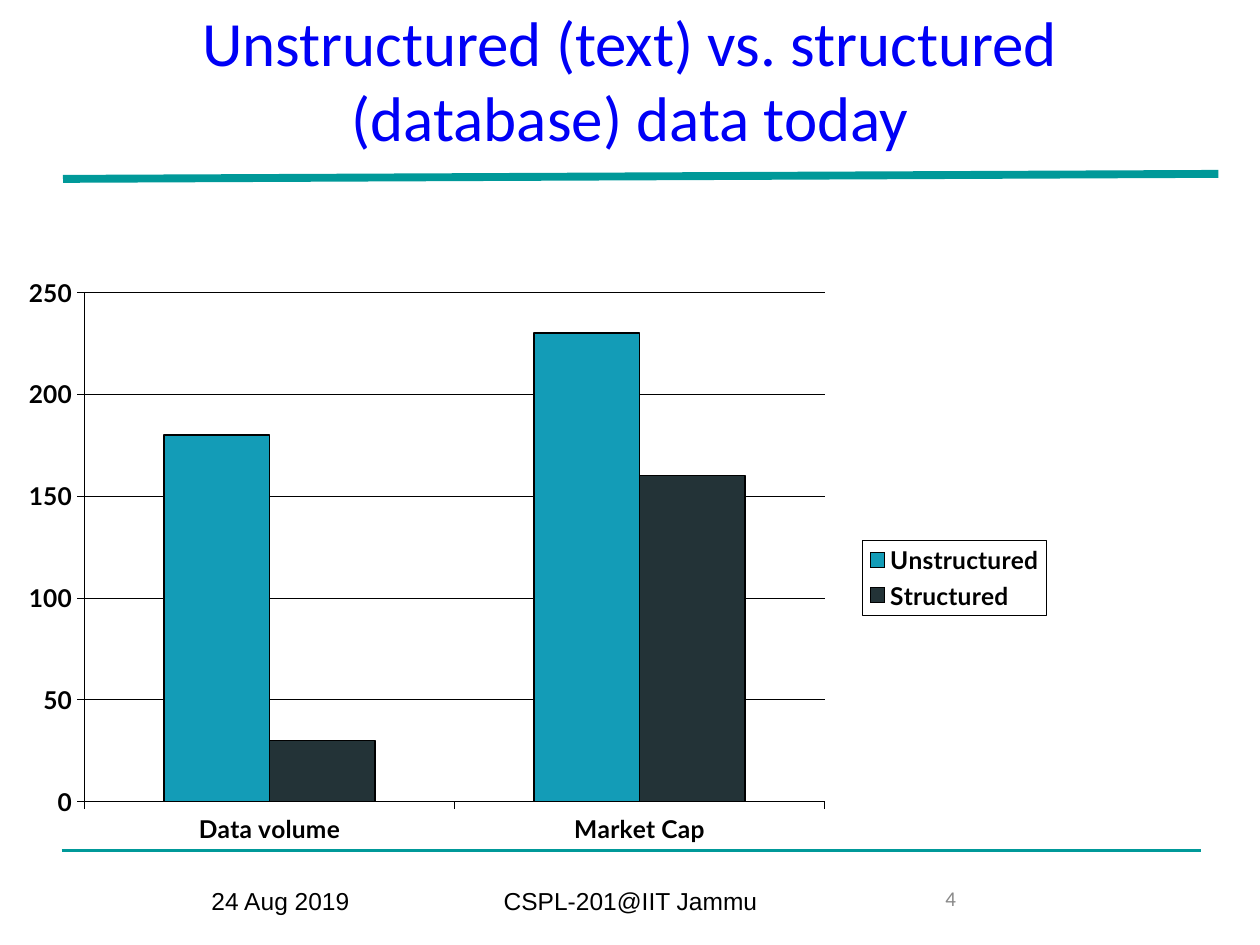
from pptx import Presentation
from pptx.chart.data import CategoryChartData
from pptx.dml.color import RGBColor
from pptx.enum.chart import XL_CHART_TYPE as ChartType, XL_LEGEND_POSITION as LegendPosition
from pptx.enum.chart import XL_TICK_LABEL_POSITION as LabelPosition, XL_TICK_MARK as TickMark
from pptx.enum.shapes import MSO_CONNECTOR as Connector
from pptx.enum.text import MSO_ANCHOR as Anchor, PP_ALIGN as Align
from pptx.oxml import parse_xml
from pptx.oxml.ns import nsdecls, qn
from pptx.util import Inches, Pt

BLACK, TEAL, BLUE, GRAY = "000000", "009999", "0000F6", "898989"


def color(value):
    return RGBColor.from_string(value)


def set_attributes(target, values):
    for name, value in values.items():
        setattr(target, name, value)


def set_font(font, name, size, fill, bold=False):
    set_attributes(font, {"name": name, "size": Pt(size), "bold": bold})
    font.color.rgb = color(fill)


def set_line(line, fill, width):
    line.color.rgb = color(fill)
    line.width = Pt(width)


def add_text(slide, text, box, font, align=Align.LEFT, anchor=Anchor.TOP):
    shape = slide.shapes.add_textbox(*map(Inches, box))
    frame = shape.text_frame
    set_attributes(frame, {"word_wrap": True, "vertical_anchor": anchor})
    paragraph = frame.paragraphs[0]
    paragraph.alignment = align
    run = paragraph.add_run()
    run.text = text
    set_font(run.font, *font)


def add_rule(slide, ends, width):
    connector = slide.shapes.add_connector(Connector.STRAIGHT, *map(Inches, ends))
    set_line(connector.line, TEAL, width)
    properties = connector._element.spPr
    properties.append(parse_xml(f"<a:effectLst {nsdecls('a')}/>"))


def place_plot(chart, **position):
    plot_area = chart.element.find(".//" + qn("c:plotArea"))
    for layout in plot_area.findall(qn("c:layout")):
        plot_area.remove(layout)
    modes = '<c:xMode val="edge"/><c:yMode val="edge"/>'
    values = "".join(f'<c:{name} val="{value}"/>' for name, value in position.items())
    plot_area.insert(0, parse_xml(
        f'<c:layout {nsdecls("c")}><c:manualLayout><c:layoutTarget val="inner"/>'
        f"{modes}{values}</c:manualLayout></c:layout>"))


def format_axis(axis, values):
    set_attributes(axis, {"major_tick_mark": TickMark.OUTSIDE,
                          "minor_tick_mark": TickMark.NONE, **values})
    set_font(axis.tick_labels.font, "Lato", 14, BLACK, True)
    set_line(axis.format.line, BLACK, 0.23)


def add_column_chart(slide, box, categories, series_values, series_colors):
    data = CategoryChartData()
    data.categories = categories
    for name, values in series_values.items():
        data.add_series(name, values)
    chart = slide.shapes.add_chart(
        ChartType.COLUMN_CLUSTERED, *map(Inches, box), data).chart
    set_attributes(chart, {"has_title": False, "has_legend": True})
    set_font(chart.font, "Lato", 8.5, BLACK, True)

    set_attributes(chart.legend, {"position": LegendPosition.RIGHT,
                                  "include_in_layout": False})
    set_font(chart.legend.font, "Lato", 14, BLACK, True)
    chart.legend._element.get_or_add_txPr().addprevious(parse_xml(
        f'<c:spPr {nsdecls("c", "a")}><a:ln w="3000"><a:solidFill>'
        f'<a:srgbClr val="{BLACK}"/></a:solidFill></a:ln></c:spPr>'))

    format_axis(chart.category_axis, {"has_major_gridlines": False})
    chart.category_axis.tick_labels.offset = 100
    chart.category_axis.tick_label_position = LabelPosition.LOW
    format_axis(chart.value_axis, {"minimum_scale": 0, "maximum_scale": 250,
                                   "major_unit": 50, "has_major_gridlines": True})
    set_line(chart.value_axis.major_gridlines.format.line, BLACK, 0.23)

    plot = chart.plots[0]
    set_attributes(plot, {"gap_width": 150, "vary_by_categories": False})
    for series, fill in zip(plot.series, series_colors):
        series.format.fill.solid()
        series.format.fill.fore_color.rgb = color(fill)
        set_line(series.format.line, BLACK, 0.92)
    place_plot(chart, x=0.08, y=0.035, w=0.7, h=0.83)


def main():
    presentation = Presentation()
    set_attributes(presentation, {"slide_width": Inches(10), "slide_height": Inches(7.5)})
    slide = presentation.slides.add_slide(presentation.slide_layouts[6])

    add_rule(slide, (0.49, 6.75, 9.53, 6.75), 2.25)
    add_text(slide, "Unstructured (text) vs. structured (database) data today",
             (0.5, 0, 9, 1.25), ("Calibri", 36, BLUE), Align.CENTER, Anchor.MIDDLE)
    add_column_chart(slide, (0, 2.15, 8.39, 4.87), ["Data volume", "Market Cap"],
                     {"Unstructured": (180, 230), "Structured": (30, 160)},
                     ["139CB7", "233337"])
    add_rule(slide, (0.5, 1.42, 9.67, 1.38), 4.5)

    footer_font = ("Arial", 14, BLACK)
    for text, left, width, font, align in [
        ("24 Aug 2019", 1.58, 1.42, footer_font, Align.LEFT),
        ("CSPL-201@IIT Jammu", 3.42, 3.17, footer_font, Align.CENTER),
        ("4", 6.92, 1.25, ("Calibri", 12, GRAY), Align.CENTER),
    ]:
        add_text(slide, text, (left, 6.98, width, 0.52), font, align)

    presentation.save("out.pptx")


if __name__ == "__main__":
    main()
